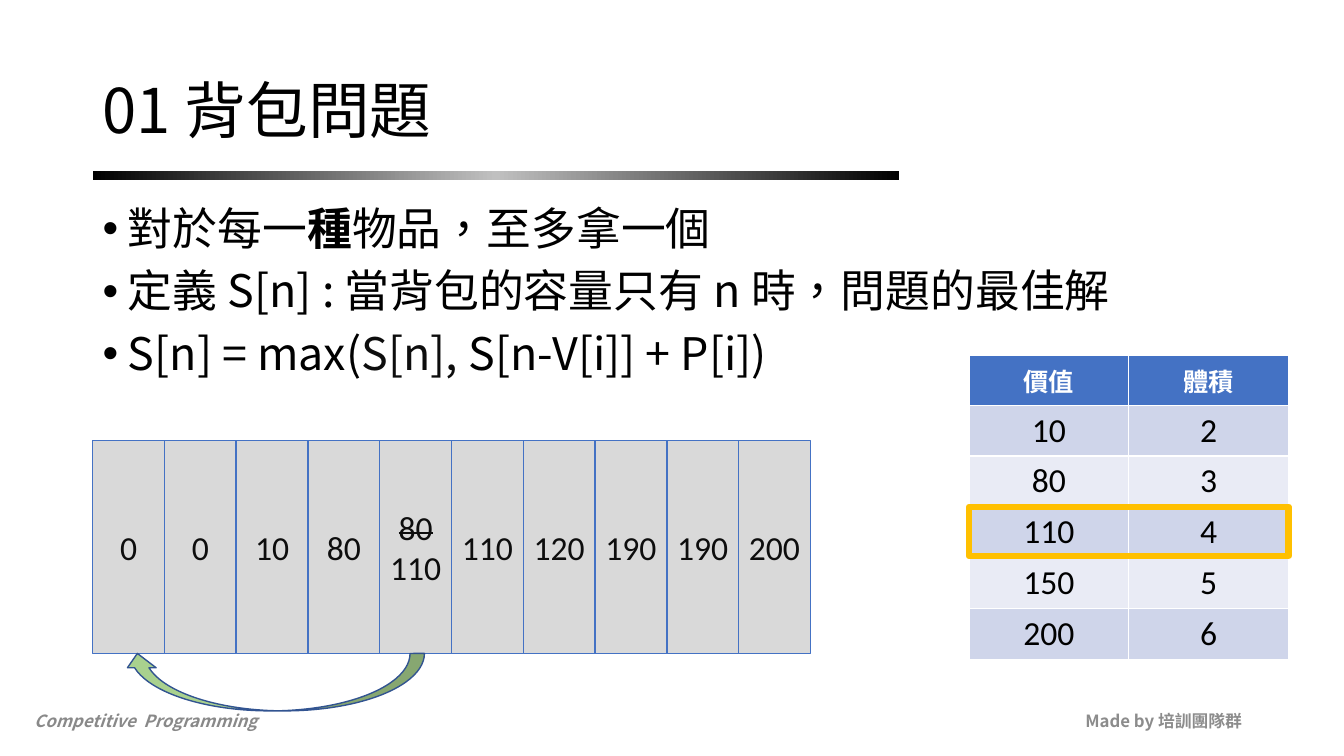
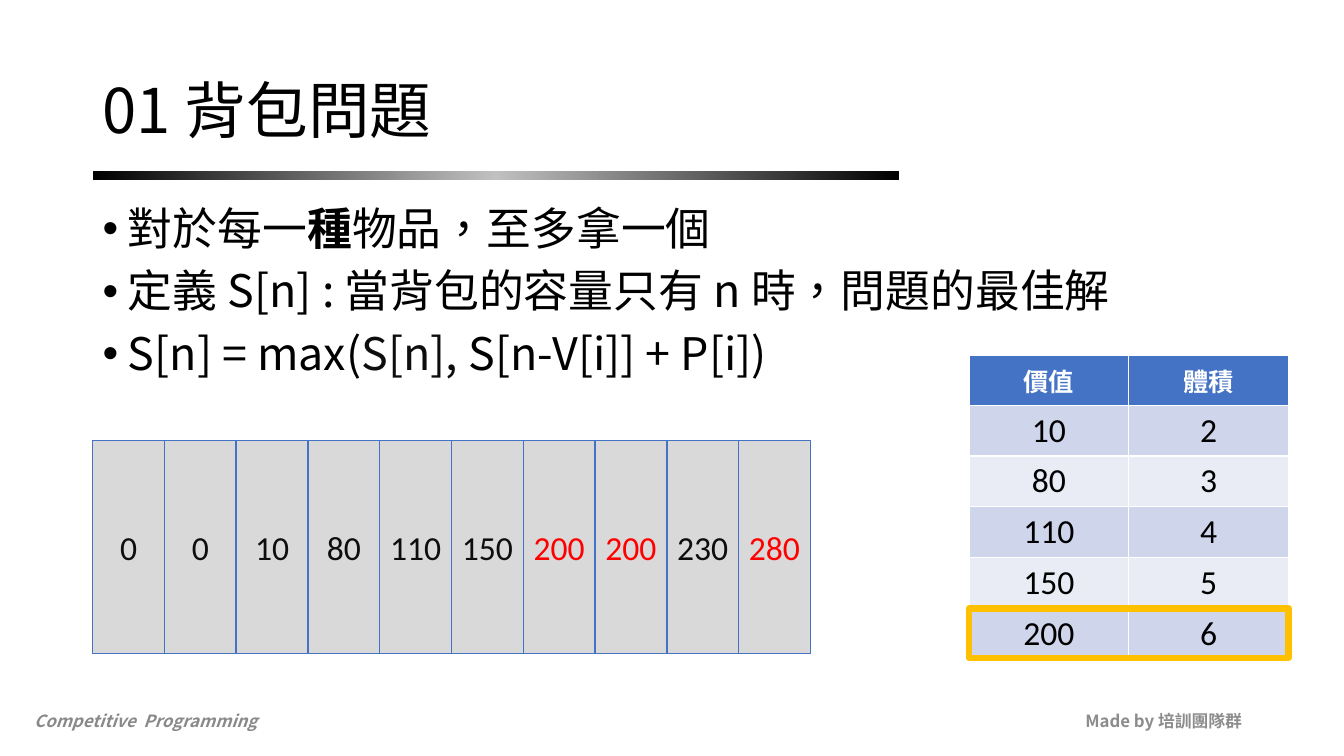
from lxml import etree
from copy import deepcopy
from pptx import Presentation
from pptx.dml.color import RGBColor
from pptx.enum.shapes import MSO_SHAPE
from pptx.enum.text import MSO_ANCHOR, PP_ALIGN
from pptx.oxml.ns import qn
from pptx.util import Inches, Pt

RECT, ARROW = MSO_SHAPE.RECTANGLE, MSO_SHAPE.CURVED_DOWN_ARROW
TOP, MIDDLE = MSO_ANCHOR.TOP, MSO_ANCHOR.MIDDLE
LEFT, CENTER, RIGHT = PP_ALIGN.LEFT, PP_ALIGN.CENTER, PP_ALIGN.RIGHT

WIDTH, HEIGHT = Inches(13.33), Inches(7.5)
CJK, LATIN = "Noto Sans CJK SC", "Calibri"
BLACK, INK, WHITE, RED = "000000", "0D0D0D", "FFFFFF", "FF0000"
BLUE, GREY, GOLD = "4472C4", "D9D9D9", "FFC000"
BANDS = ("CFD5EA", "E9EBF5")

MARGIN = 6.9
TABLE_X, TABLE_Y, TABLE_W = 72.1, 47.07, 23.78
HEADER_H, ROW_H = 6.53, 6.72
CELL_Y, CELL_W, CELL_H = 58.3, 5.34, 28.13

ITEMS = [("10", "2"), ("80", "3"), ("110", "4"), ("150", "5"), ("200", "6")]
BULLETS = [
    [("對於每一", {}), ("種", {"bold": True}), ("物品，至多拿一個", {})],
    [("定義 S[n] : 當背包的容量只有 n 時，問題的最佳解", {})],
    [("S[n] = max(", {}), ("S[n], ", {"color": INK}), ("S[n-V[i]] + P[i])", {})],
]


def rgb(value):
    return RGBColor.from_string(value)


def area(x, y, w, h):
    return [int(WIDTH * x / 100), int(HEIGHT * y / 100),
            int(WIDTH * w / 100), int(HEIGHT * h / 100)]


def style_run(r, size, font=CJK, color=BLACK, bold=False, italic=False, strike=False):
    r.font.name, r.font.size = font, Pt(size)
    r.font.bold, r.font.italic = bold, italic
    r.font.color.rgb = rgb(color)
    rPr = r.font._element
    rPr.set("lang", "zh-TW")
    if strike:
        rPr.set("strike", "sngStrike")
    ea = etree.Element(qn("a:ea"), typeface=CJK)
    rPr.find(qn("a:latin")).addnext(ea)


def style_text(tf, align=LEFT, **look):
    for p in tf.paragraphs:
        p.alignment = align
        for r in p.runs:
            style_run(r, **look)


def add_text(s, where, text, anchor=MIDDLE, **look):
    tf = s.shapes.add_textbox(*area(*where)).text_frame
    tf.word_wrap = True
    tf.vertical_anchor = anchor
    tf.text = text
    style_text(tf, **look)
    return tf


def add_figure(s, kind, where, fill=None, line=None, weight=1):
    sp = s.shapes.add_shape(kind, *area(*where))
    sp.shadow.inherit = False
    if fill:
        sp.fill.solid()
        sp.fill.fore_color.rgb = rgb(fill)
    else:
        sp.fill.background()
    if line:
        sp.line.color.rgb = rgb(line)
        sp.line.width = Pt(weight)
    else:
        sp.line.fill.background()
    return sp


def add_rule(s):
    sp = add_figure(s, RECT, (MARGIN, 22.67, 60, 1.2))
    sp.fill.gradient()
    sp.fill.gradient_angle = 0
    for stop in sp.fill.gradient_stops:
        stop.color.rgb = rgb(BLACK)
    first = next(sp._element.iter(qn("a:gs")))
    middle = deepcopy(first)
    first.addnext(middle)
    stop = sp.fill.gradient_stops[1]
    stop.position = 0.5
    stop.color.rgb = rgb("C0C0C0")


def add_frame(s, title):
    footer = {"size": 12, "bold": True}
    add_text(s, (70.66, 92.67, 22.5, 5.33), "Made by 培訓團隊群",
             align=RIGHT, color="8C8C8C", **footer)
    add_text(s, (1.8, 92.67, 22.5, 5.33), "Competitive  Programming",
             color="898989", italic=True, **footer)
    add_rule(s)
    tf = add_text(s, (MARGIN, 5.33, 86.25, 19.33), title, size=44)
    tf.paragraphs[0].line_spacing = 0.9


def add_bullets(s, lines):
    tf = add_text(s, (MARGIN, 26.67, 86.25, 63.5), "", anchor=TOP, size=32)
    for i, line in enumerate(lines):
        p = tf.add_paragraph() if i else tf.paragraphs[0]
        pPr = p._p.get_or_add_pPr()
        pPr.set("marL", str(Inches(0.25)))
        pPr.set("indent", str(-Inches(0.25)))
        etree.SubElement(pPr, qn("a:buFont"), typeface="Arial")
        etree.SubElement(pPr, qn("a:buChar"), char="•")
        p.line_spacing = 0.9
        if i:
            p.space_before = Pt(10)
        for text, look in line:
            r = p.add_run()
            r.text = text
            style_run(r, 32, **look)


def fill_cell(cell, text, fill, **look):
    cell.text = text
    cell.vertical_anchor = MIDDLE
    cell.fill.solid()
    cell.fill.fore_color.rgb = rgb(fill)
    style_text(cell.text_frame, align=CENTER, font=LATIN, **look)


def add_items(s, chosen):
    where = area(TABLE_X, TABLE_Y, TABLE_W, HEADER_H + ROW_H * len(ITEMS))
    table = s.shapes.add_table(len(ITEMS) + 1, 2, *where).table
    table.rows[0].height = int(HEIGHT * HEADER_H / 100)
    for c, name in enumerate(("價值", "體積")):
        fill_cell(table.cell(0, c), name, BLUE, size=18, color=WHITE, bold=True)
    for i, item in enumerate(ITEMS):
        table.rows[i + 1].height = int(HEIGHT * ROW_H / 100)
        for c, value in enumerate(item):
            fill_cell(table.cell(i + 1, c), value, BANDS[i % 2], size=24)
    y = TABLE_Y + HEADER_H + ROW_H * chosen
    add_figure(s, RECT, (TABLE_X, y, TABLE_W, HEADER_H), line=GOLD, weight=4.5)


def add_capacities(s, values, changed=()):
    for i, value in enumerate(values):
        where = (MARGIN + CELL_W * i, CELL_Y, CELL_W, CELL_H)
        sp = add_figure(s, RECT, where, GREY, BLUE)
        tf = sp.text_frame
        tf.margin_left = tf.margin_right = 0
        tf.vertical_anchor = MIDDLE
        tf.text = value
        style_text(tf, align=CENTER, size=24, font=LATIN,
                   color=RED if i in changed else INK)
        for p in tf.paragraphs[:-1]:
            p.runs[0].font._element.set("strike", "sngStrike")


def add_back_arrow(s):
    sp = add_figure(s, ARROW, (9.15, CELL_Y + CELL_H, 22.43, 7.6), "A9D18E", "325491")
    sp.rotation = 180


def add_step(prs, values, chosen, changed=()):
    s = prs.slides.add_slide(prs.slide_layouts[6])
    add_frame(s, "01 背包問題")
    add_bullets(s, BULLETS)
    add_capacities(s, values, changed)
    add_items(s, chosen)
    return s


def main():
    prs = Presentation()
    prs.slide_width, prs.slide_height = WIDTH, HEIGHT
    s = add_step(prs, ["0", "0", "10", "80", "80\n110", "110", "120", "190", "190", "200"],
                 chosen=2)
    add_back_arrow(s)
    add_step(prs, ["0", "0", "10", "80", "110", "150", "200", "200", "230", "280"],
             chosen=4, changed=(6, 7, 9))
    prs.save("out.pptx")


if __name__ == "__main__":
    main()
